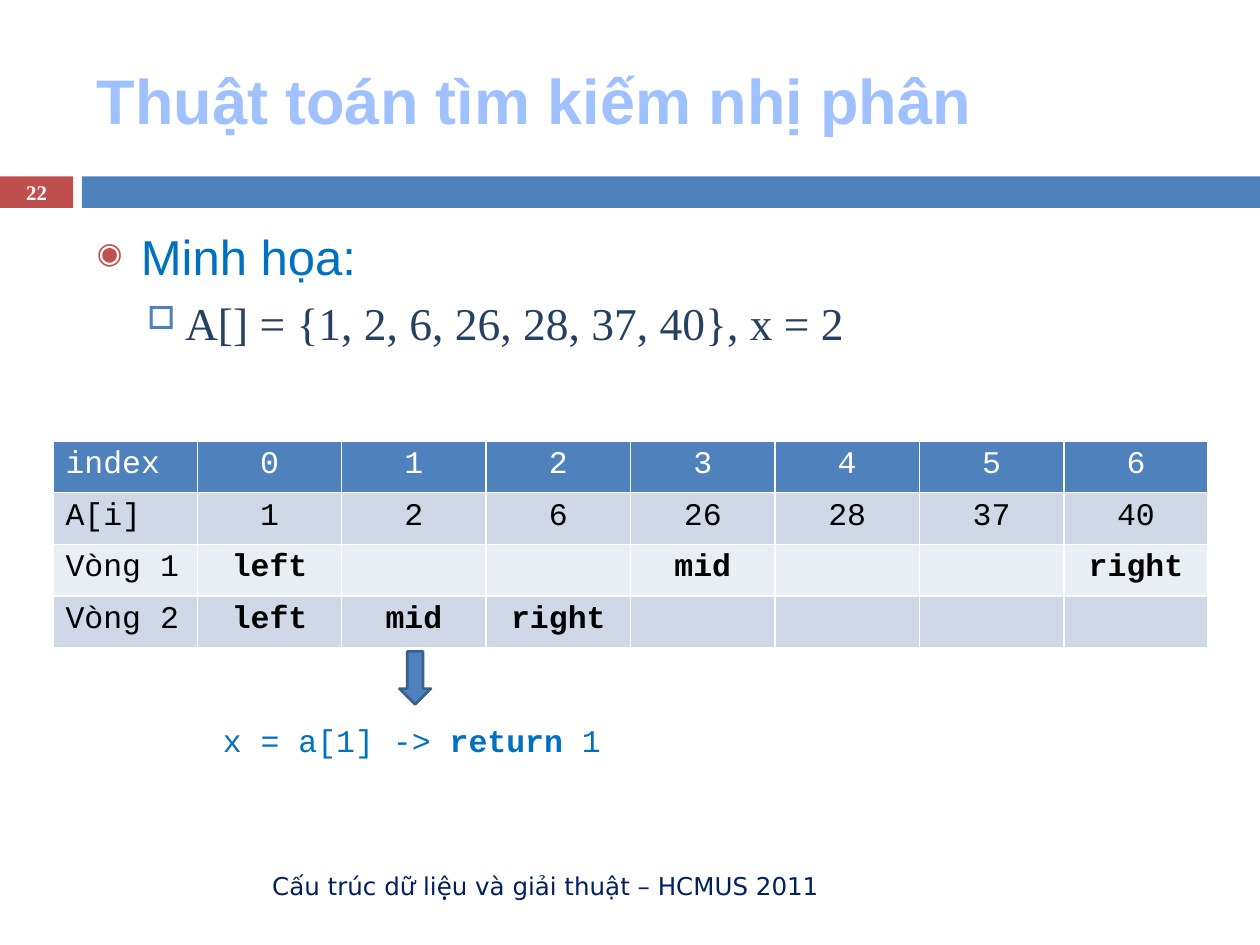
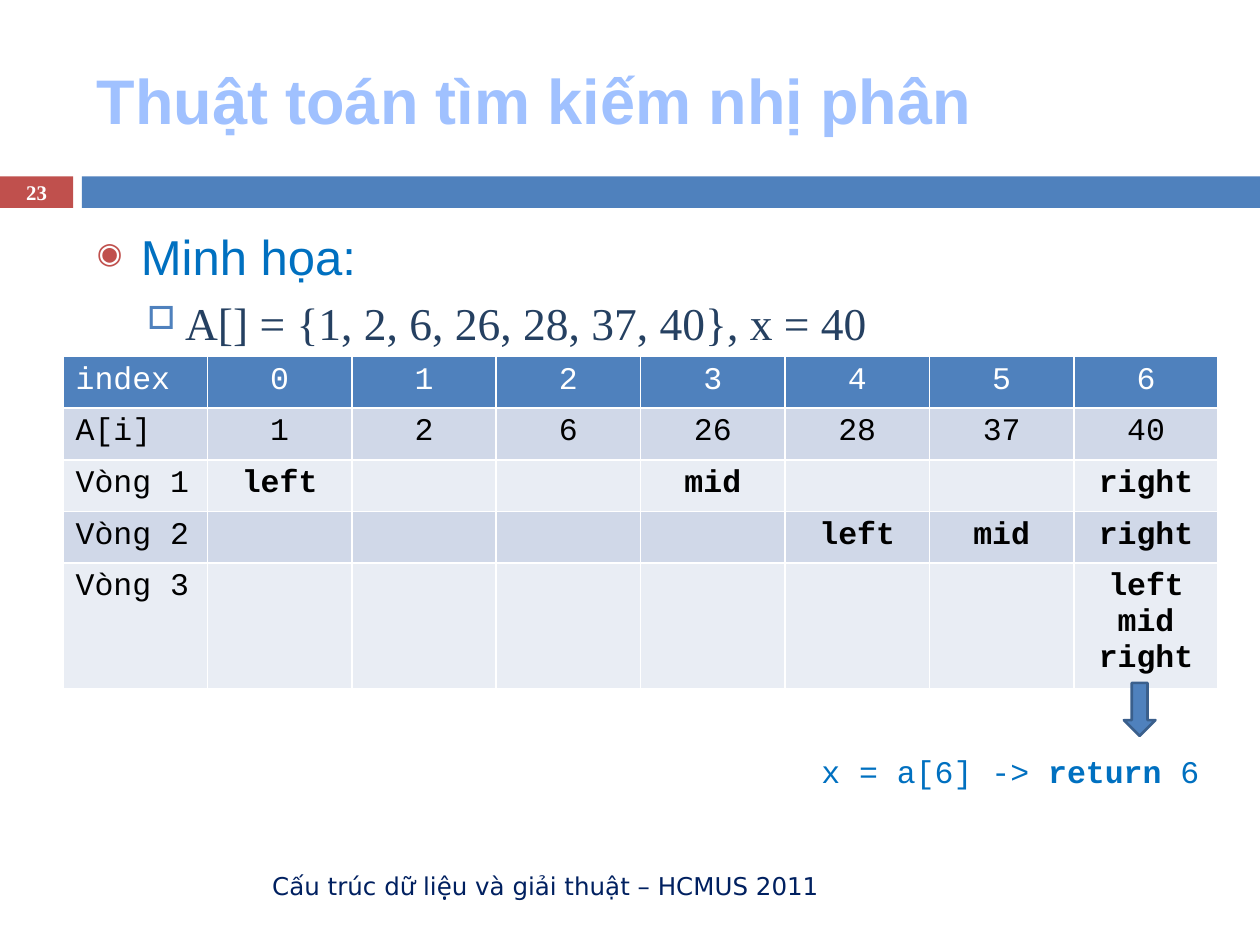
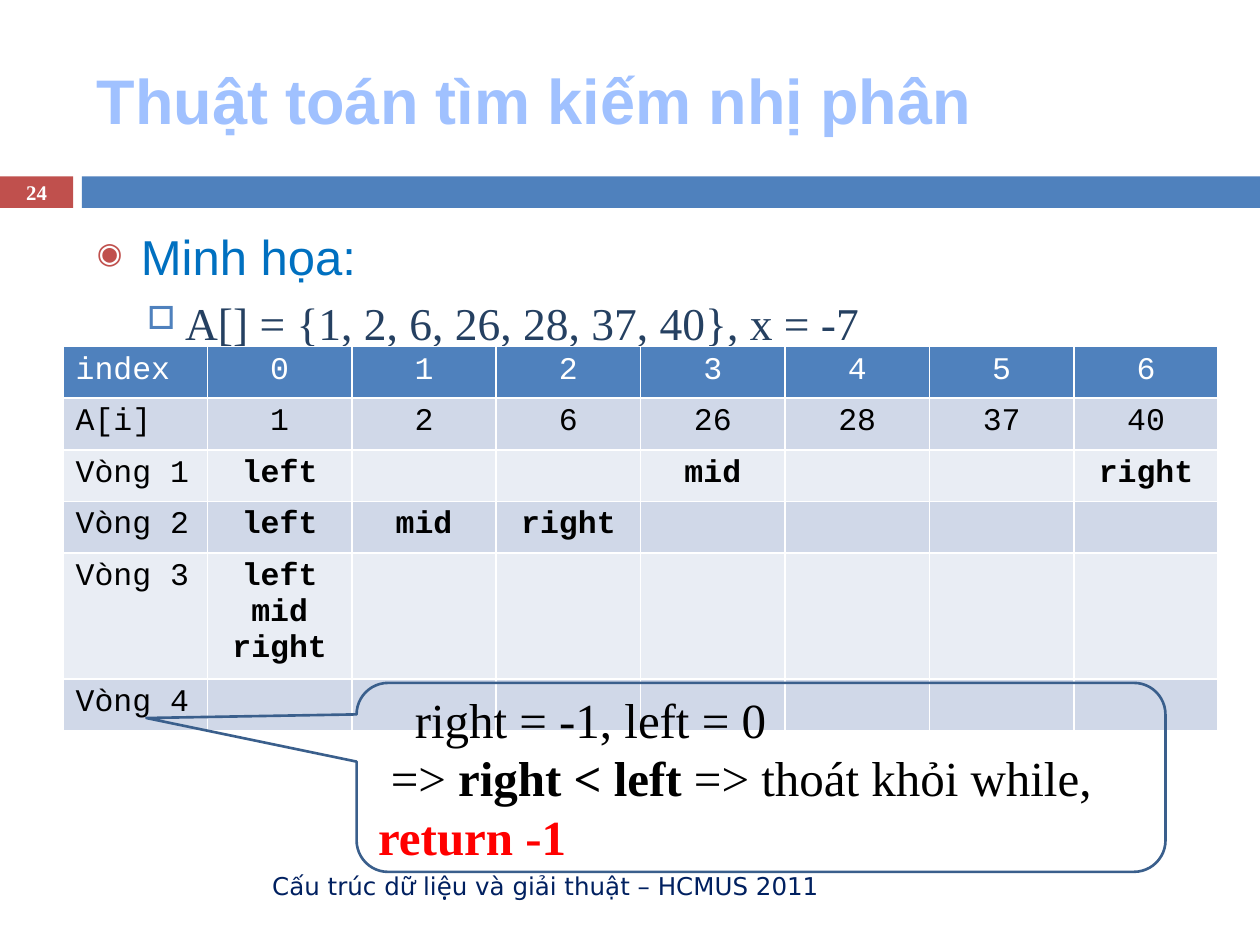
"""Build three slides that trace binary search on a sorted array."""
from lxml import etree
from pptx import Presentation
from pptx.dml.color import RGBColor
from pptx.enum import shapes, text
from pptx.oxml import ns
from pptx.util import Inches, Pt

TITLE = "Thuật toán tìm kiếm nhị phân"
FOOTER = "Cấu trúc dữ liệu và giải thuật – HCMUS 2011"
HEAD = "Minh họa:"
ITEMS = [1, 2, 6, 26, 28, 37, 40]
ENDS = {0: "left", 3: "mid", 6: "right"}
LOW = {0: "left", 1: "mid", 2: "right"}
ALL = "left\nmid\nright"

SLIDES = [
    {"num": 22, "key": 2, "at": (0.42, 3.5), "loops": [ENDS, LOW],
     "found": 1, "arrow": (3.17, 5.17), "note": (1.67, 5.67)},
    {"num": 23, "key": 40, "at": (0.5, 2.83),
     "loops": [ENDS, {4: "left", 5: "mid", 6: "right"}, {6: ALL}],
     "found": 6, "arrow": (8.92, 5.42), "note": (6.42, 5.92)},
    {"num": 24, "key": -7, "at": (0.5, 2.75),
     "loops": [ENDS, LOW, {0: ALL}, {}], "found": None},
]

BLUE, RED, WHITE, BLACK = "4F81BD", "C0504D", "FFFFFF", "000000"
EDGE, SKY, NAVY, DEEP = "3A5F8C", "0070C0", "002060", "254061"
PALE, BANDS = "A0C1FF", ("E9EDF4", "D0D8E8")
SANS, SERIF, MONO, FOOT = "Arial", "Times New Roman", "Courier New", "DejaVu Sans"
ROW, TALL, WIDE = 0.41, 0.95, 9.17
KIND, ALIGN, MID = shapes.MSO_SHAPE, text.PP_ALIGN, text.MSO_ANCHOR.MIDDLE


def rgb(code):
    return RGBColor.from_string(code)


def style(run, font, size, color, bold=False):
    run.font.name, run.font.size, run.font.bold = font, Pt(size), bold
    run.font.color.rgb = rgb(color)


def write(para, runs, font, size, align=None):
    """Add (text, colour, bold) runs to a paragraph."""
    para.alignment = align
    for words, color, bold in runs:
        run = para.add_run()
        run.text = words
        style(run, font, size, color, bold)


def label(slide, box, runs, font, size, align=None, anchor=MID):
    frame = slide.shapes.add_textbox(*map(Inches, box)).text_frame
    frame.word_wrap, frame.vertical_anchor = True, anchor
    write(frame.paragraphs[0], runs, font, size, align)
    return frame


def shape(slide, kind, box, fill=None, line=None):
    item = slide.shapes.add_shape(kind, *map(Inches, box))
    item.shadow.inherit = False
    if fill:
        item.fill.solid()
        item.fill.fore_color.rgb = rgb(fill)
    else:
        item.fill.background()
    if line:
        item.line.color.rgb, item.line.width = rgb(line), Pt(1.5)
    else:
        item.line.fill.background()
    return item


def indent(para, left, first):
    props = para._p.get_or_add_pPr()
    props.set("marL", str(Inches(left)))
    props.set("indent", str(Inches(first)))
    return props


def bullet(para, char, color, size, left, first, gap):
    para.space_before = Pt(gap)
    props = indent(para, left, first)
    tint = etree.SubElement(props, ns.qn("a:buClr"))
    etree.SubElement(tint, ns.qn("a:srgbClr"), val=color)
    etree.SubElement(props, ns.qn("a:buSzPct"), val=str(size * 1000))
    etree.SubElement(props, ns.qn("a:buChar"), char=char)


def base(slide, num, key):
    """Draw the title, bands, footer and bulleted text."""
    shape(slide, KIND.RECTANGLE, (0, 1.4, 0.58, 0.25), RED)
    shape(slide, KIND.RECTANGLE, (0.65, 1.4, 9.35, 0.25), BLUE)
    label(slide, (0.67, 0.25, 8.92, 1.08), [(TITLE, PALE, True)], SANS, 36)
    label(slide, (0.67, 6.83, 5.93, 0.4), [(FOOTER, NAVY, False)], FOOT, 14, ALIGN.RIGHT)
    label(slide, (0, 1.39, 0.58, 0.27), [(str(num), WHITE, True)], SERIF, 11.9, ALIGN.CENTER)
    body = label(slide, (0.67, 1.75, 8.92, 4.92), [(HEAD, SKY, False)], SANS, 28,
                 anchor=text.MSO_ANCHOR.TOP)
    bullet(body.paragraphs[0], "◉", RED, 60, 0.35, -0.35, 7)
    para = body.add_paragraph()
    para.level = 1
    words = f"A[] = {{{', '.join(map(str, ITEMS))}}}, x = {key}"
    write(para, [(words, DEEP, False)], SERIF, 26)
    bullet(para, "□", BLUE, 70, 0.7, -0.3, 5.5)


def trace(slide, at, loops):
    """Draw the table of array cells and search loops."""
    size = len(ITEMS)
    rows = [["index", *range(size)], ["A[i]", *ITEMS]]
    for turn, marks in enumerate(loops, 1):
        rows.append([f"Vòng {turn}", *(marks.get(i, "") for i in range(size))])
    highs = [TALL if ALL in row else ROW for row in rows]
    box = (*at, WIDE, sum(highs))
    grid = slide.shapes.add_table(len(rows), size + 1, *map(Inches, box)).table
    for r, row in enumerate(rows):
        grid.rows[r].height = Inches(highs[r])
        for c, value in enumerate(row):
            cell = grid.cell(r, c)
            cell.fill.solid()
            cell.fill.fore_color.rgb = rgb(BANDS[r % 2] if r else BLUE)
            cell.text_frame.text = str(value)
            for para in cell.text_frame.paragraphs:
                para.alignment = ALIGN.CENTER if c else None
                para.font.size = Pt(18)
                for run in para.runs:
                    style(run, MONO, 18, BLACK if r else WHITE, r > 1 and c > 0)


def hit(slide, found, arrow, note):
    shape(slide, KIND.DOWN_ARROW, (*arrow, 0.25, 0.42), BLUE, EDGE)
    runs = [(f"x = a[{found}] -> ", SKY, False), ("return ", SKY, True), (str(found), SKY, False)]
    label(slide, (*note, 3.33, 0.4), runs, MONO, 18, anchor=text.MSO_ANCHOR.TOP)


def miss(slide):
    """Draw the callout for a key that is absent."""
    call = shape(slide, KIND.ROUNDED_RECTANGULAR_CALLOUT, (2.83, 5.42, 6.42, 1.5), line=EDGE)
    for i, value in enumerate((-0.76, -0.314, 0.167)):
        call.adjustments[i] = value
    frame = call.text_frame
    frame.word_wrap, frame.vertical_anchor = True, MID
    lines = [
        (0.29, [("right = -1, left = 0", BLACK, False)]),
        (0.1, [("=> ", BLACK, False), ("right < left", BLACK, True),
               (" => thoát khỏi while, ", BLACK, False), ("return -1", "FF0000", True)]),
    ]
    for i, (first, runs) in enumerate(lines):
        para = frame.add_paragraph() if i else frame.paragraphs[0]
        write(para, runs, SERIF, 28, ALIGN.LEFT)
        indent(para, 0, first)


deck = Presentation()
deck.slide_width, deck.slide_height = Inches(10), Inches(7.5)
for data in SLIDES:
    page = deck.slides.add_slide(deck.slide_layouts[6])
    base(page, data["num"], data["key"])
    trace(page, data["at"], data["loops"])
    if data["found"] is None:
        miss(page)
    else:
        hit(page, data["found"], data["arrow"], data["note"])
deck.save("out.pptx")
